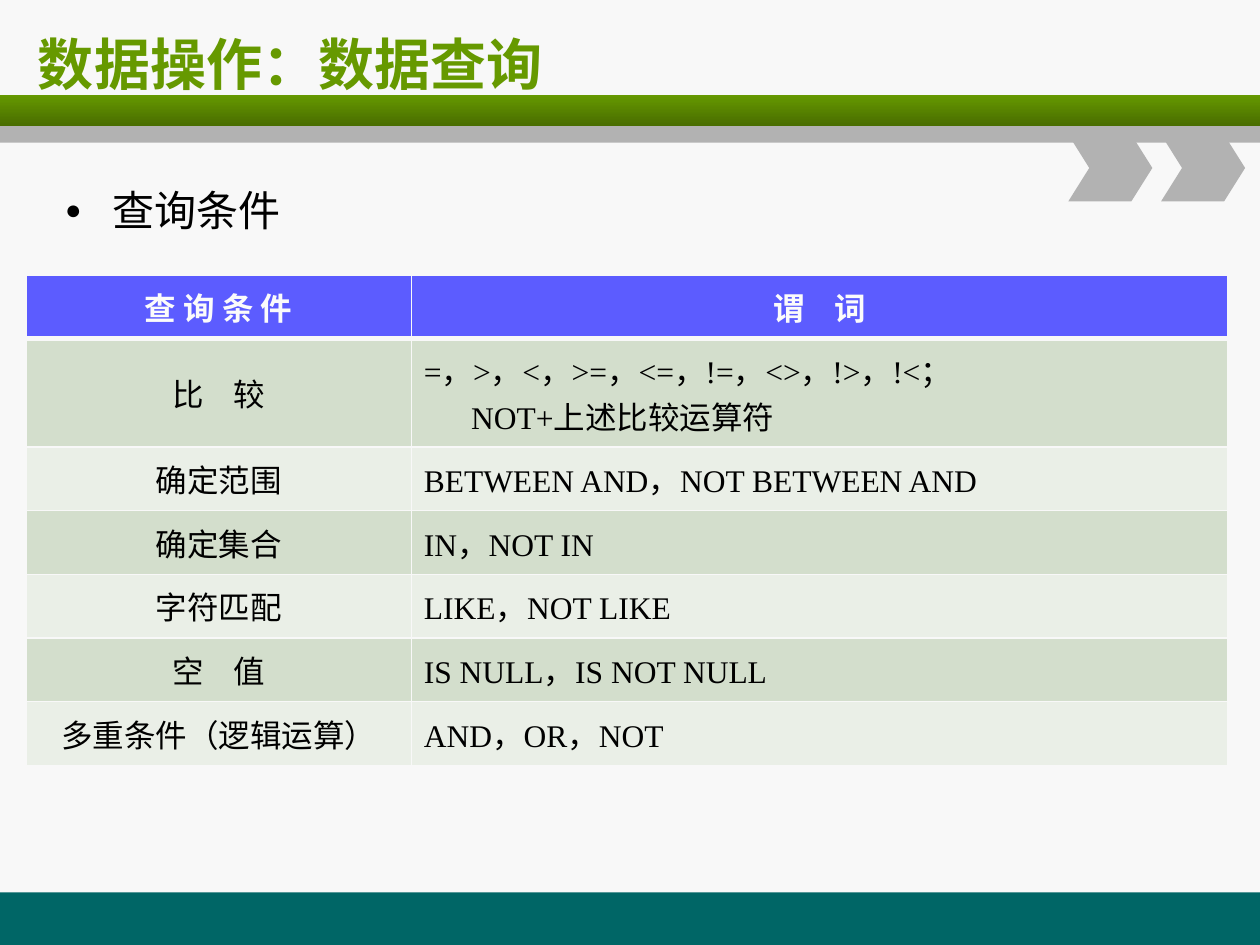
from pptx import Presentation
from pptx.dml.color import RGBColor
from pptx.enum import shapes, text
from pptx.oxml import parse_xml
from pptx.oxml.ns import nsdecls
from pptx.util import Pt

GREEN = RGBColor(0x66, 0x99, 0x00)
DARK_GREEN = RGBColor(0x49, 0x6D, 0x00)
TEAL = RGBColor(0x00, 0x66, 0x66)
GREY = RGBColor(0xB2, 0xB2, 0xB2)
PAPER = RGBColor(0xF8, 0xF8, 0xF8)
BLACK = RGBColor(0x00, 0x00, 0x00)
HEADER_TEXT = RGBColor(0xFB, 0xFB, 0xFB)
HEADER_FILL = RGBColor(0x5C, 0x5C, 0xFF)
BANDS = [RGBColor(0xEA, 0xEF, 0xE7), RGBColor(0xD3, 0xDE, 0xCC)]

SERIF = "Times New Roman"
HANGING = Pt(27)
LABEL_GAP = "1300"  # extra width of the gap in two-character labels, 1/100 pt

ROWS = [
    ("查 询 条 件", "谓 词"),
    ("比 较", "=，>，<，>=，<=，!=，<>，!>，!<；\vNOT+上述比较运算符"),
    ("确定范围", "BETWEEN AND，NOT BETWEEN AND"),
    ("确定集合", "IN，NOT IN"),
    ("字符匹配", "LIKE，NOT LIKE"),
    ("空 值", "IS NULL，IS NOT NULL"),
    ("多重条件（逻辑运算）", "AND，OR，NOT"),
]


def set_attrs(obj, values):
    for name, value in values.items():
        setattr(obj, name, value)


def place(sp, left, top, width, height):
    set_attrs(sp, dict(left=Pt(left), top=Pt(top),
                       width=Pt(width), height=Pt(height)))


def format_font(font, color, **values):
    set_attrs(font, values)
    font.color.rgb = color


def hang(p):
    pPr = p._p.get_or_add_pPr()
    pPr.set("marL", str(HANGING))
    pPr.set("indent", str(-HANGING))
    return pPr


def add_block(s, kind, box, color):
    sp = s.shapes.add_shape(kind, *map(Pt, box))
    sp.shadow.inherit = False
    sp.line.fill.background()
    sp.fill.solid()
    sp.fill.fore_color.rgb = color
    return sp


def add_decoration(s):
    rect = shapes.MSO_SHAPE.RECTANGLE
    add_block(s, rect, (0, 510, 720, 30), TEAL)

    # Gradient band under the title
    band = add_block(s, rect, (0, 54, 720, 18), GREEN)
    band.fill.gradient()
    band.fill.gradient_angle = 270
    for stop, position, color in zip(band.fill.gradient_stops, (0, 1),
                                     (GREEN, DARK_GREEN)):
        stop.position = position
        stop.color.rgb = color

    # Grey strip with two chevrons
    add_block(s, rect, (0, 72, 720, 9.5), GREY)
    for left in (610.5, 663.5):
        sp = add_block(s, shapes.MSO_SHAPE.CHEVRON, (left, 77, 48, 38), GREY)
        sp.adjustments[0] = 0.314


def fill_placeholder(sp, box, words, color, **font):
    place(sp, *box)
    tf = sp.text_frame
    set_attrs(tf, dict(auto_size=text.MSO_AUTO_SIZE.NONE,
                       vertical_anchor=text.MSO_ANCHOR.MIDDLE))
    p = tf.paragraphs[0]
    p.text = words
    set_attrs(p, dict(alignment=text.PP_ALIGN.LEFT, space_before=Pt(0)))
    format_font(p.runs[0].font, color, **font)
    return p


def add_bullet(p):
    pPr = hang(p)
    for tag in ('buSzPct {} val="65000"', 'buChar {} char="●"'):
        pPr.append(parse_xml("<a:" + tag.format(nsdecls("a")) + "/>"))


def set_borders(cell, widths):
    tcPr = cell._tc.get_or_add_tcPr()
    for i, (side, width) in enumerate(zip("LRTB", widths)):
        tcPr.insert(i, parse_xml(
            f'<a:ln{side} {nsdecls("a")} w="{Pt(width)}"><a:solidFill>'
            f'<a:srgbClr val="{PAPER}"/></a:solidFill></a:ln{side}>'))


def fill_cell(cell, words, row, col):
    header = row == 0
    cell.fill.solid()
    cell.fill.fore_color.rgb = HEADER_FILL if header else BANDS[row % 2]
    cell.vertical_anchor = text.MSO_ANCHOR.MIDDLE
    set_borders(cell, (1, 1, 3 if row == 1 else 1, 3 if header else 1))

    p = cell.text_frame.paragraphs[0]
    centred = header or col == 0
    p.alignment = text.PP_ALIGN.CENTER if centred else text.PP_ALIGN.LEFT
    hang(p)
    # A two-character label is spread by widening its space
    spread = len(words) == 3 and words[1] == " "
    if spread:
        for part in words:
            p.add_run().text = part
        p.runs[1].font._element.set("spc", LABEL_GAP)
    else:
        p.text = words
    for r in p.runs:
        format_font(r.font, HEADER_TEXT if header else BLACK,
                    name=SERIF, size=Pt(18), bold=header)


def add_predicate_table(s):
    frame = s.shapes.add_table(len(ROWS), 2, Pt(14.75), Pt(157),
                               Pt(687), Pt(280.4))
    table = frame.table
    set_attrs(table, dict(first_row=False, horz_banding=False))
    for column, width in zip(table.columns, (220.3, 466.7)):
        column.width = Pt(width)
    for i, words in enumerate(ROWS):
        table.rows[i].height = Pt(62 if i == 1 else 36.4)
        for j, content in enumerate(words):
            fill_cell(table.cell(i, j), content, i, j)


def main():
    prs = Presentation()
    set_attrs(prs, dict(slide_width=Pt(720), slide_height=Pt(540)))
    s = prs.slides.add_slide(prs.slide_layouts[1])
    s.background.fill.solid()
    s.background.fill.fore_color.rgb = PAPER

    add_decoration(s)

    # Title and bulleted topic
    fill_placeholder(s.shapes.title, (14.5, 12, 687.5, 48), "数据操作：数据查询",
                     GREEN, name="DejaVu Sans", size=Pt(32), bold=True)
    topic = fill_placeholder(s.placeholders[1], (30, 102, 139, 36), "查询条件",
                             BLACK, name=SERIF, size=Pt(24))
    add_bullet(topic)
    s.placeholders[1].text_frame.word_wrap = False

    add_predicate_table(s)
    prs.save("out.pptx")


if __name__ == "__main__":
    main()
